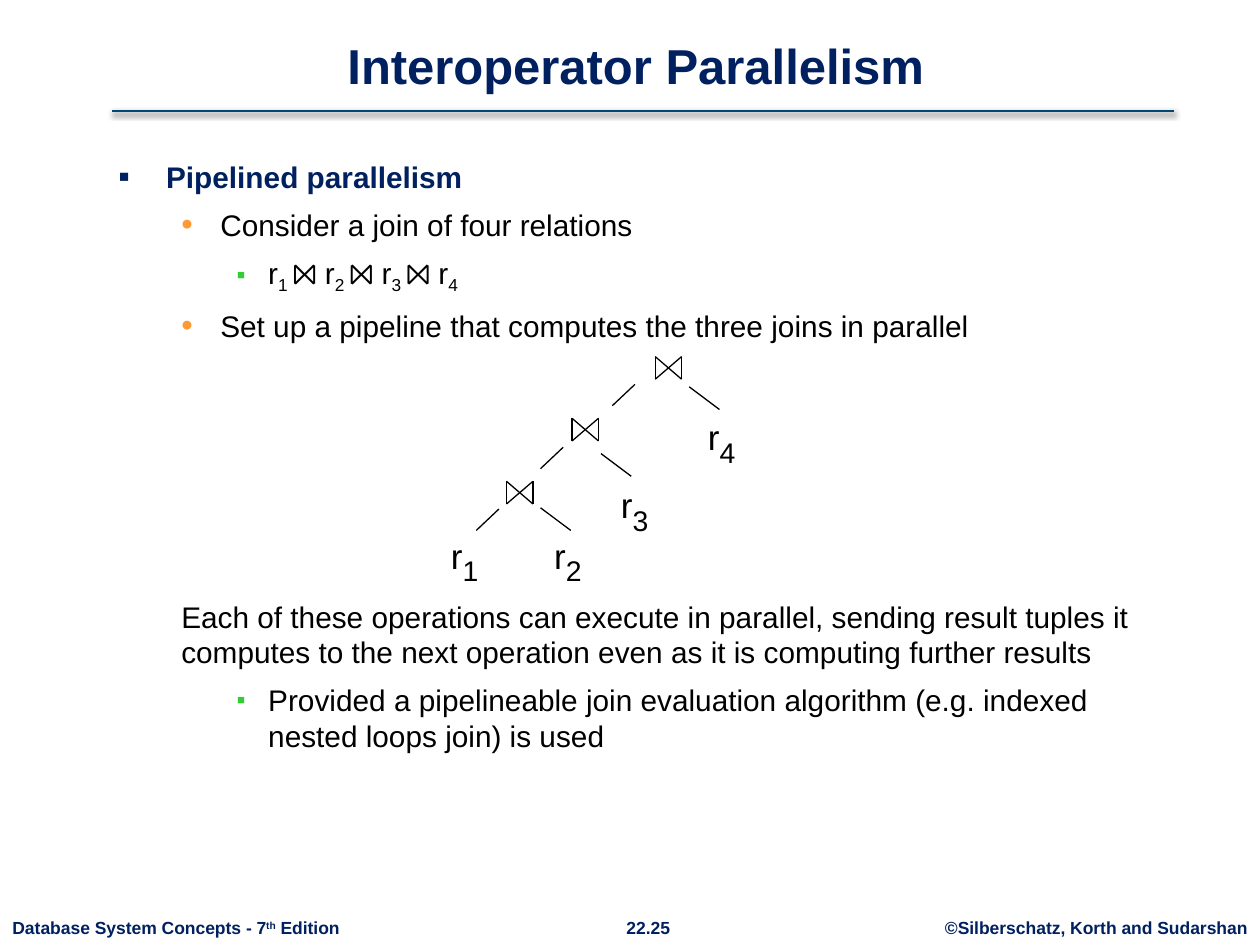
from lxml import etree
from pptx import Presentation
from pptx import util as u
from pptx.dml.color import RGBColor
from pptx.enum import shapes, text
from pptx.oxml.ns import qn

COLORS = {"navy": "002060", "rule": "004873", "black": "000000",
          "orange": "FF9933", "green": "33CC33"}
SUB, SUPER = -25, 30

deck = Presentation()
deck.slide_width, deck.slide_height = u.Inches(10), u.Inches(7.5)
page = deck.slides.add_slide(deck.slide_layouts[6])
# Grid of 100 columns by 75 rows
COL, ROW = deck.slide_width / 100, deck.slide_height / 75


def add_text(place, paras, wrap=True, anchor=text.MSO_ANCHOR.TOP):
    """Fill a box; each para is (format, spans) and a span (text, size, colour, bold, baseline)."""
    left, top, width, height = place
    box = page.shapes.add_textbox(int(left * COL), int(top * ROW),
                                  int(width * COL), int(height * ROW))
    frame = box.text_frame
    frame.word_wrap, frame.vertical_anchor = wrap, anchor
    for index, (form, spans) in enumerate(paras):
        para = frame.paragraphs[0] if index == 0 else frame.add_paragraph()
        para.alignment = form.get("align", text.PP_ALIGN.LEFT)
        if index:
            para.space_before = u.Pt(7)
        props = para._p.get_or_add_pPr()
        if "indent" in form:
            margin, hang = form["indent"]
            props.set("marL", str(int(margin * COL)))
            props.set("indent", str(int(hang * COL)))
        if "bullet" in form:
            mark, color, percent = form["bullet"]
            tint = etree.SubElement(props, qn("a:buClr"))
            etree.SubElement(tint, qn("a:srgbClr"), val=COLORS[color])
            etree.SubElement(props, qn("a:buSzPct"), val=str(percent * 1000))
            etree.SubElement(props, qn("a:buFont"), typeface="Arial")
            etree.SubElement(props, qn("a:buChar"), char=mark)
        for words, size, color, bold, baseline in spans:
            span = para.add_run()
            span.text = words
            for name, value in {"name": "Arial", "size": u.Pt(size), "bold": bold}.items():
                setattr(span.font, name, value)
            span.font.color.rgb = RGBColor.from_string(COLORS[color])
            if baseline:
                span.font._element.set("baseline", str(baseline * 1000))


def add_line(x1, y1, x2, y2, color="black", width=0.75):
    line = page.shapes.add_connector(shapes.MSO_CONNECTOR.STRAIGHT, int(x1 * COL),
                                     int(y1 * ROW), int(x2 * COL), int(y2 * ROW))
    line.line.color.rgb = RGBColor.from_string(COLORS[color])
    line.line.width = u.Pt(width)
    return etree.SubElement(line._element.spPr, qn("a:effectLst"))


# Footer
center = {"align": text.PP_ALIGN.CENTER}
for left, width, form, parts in [
    (74, 26, center, [("©Silberschatz, Korth and Sudarshan", 0)]),
    (48.6, 5.7, center, [("22.25", 0)]),
    (0, 28.1, {}, [("Database System Concepts - 7", 0), ("th", SUPER), (" Edition", 0)]),
]:
    spans = [(words, 10, "navy", True, baseline) for words, baseline in parts]
    add_text((left, 72.3, width, 2.7), [(form, spans)], wrap=False)

# Title and its shadowed rule
add_text((8.4, 1.3, 84.1, 6.7),
         [(center, [("Interoperator Parallelism", 28, "navy", True, 0)])],
         anchor=text.MSO_ANCHOR.BOTTOM)
effects = add_line(8.9, 8.8, 93.2, 8.8, "rule", 1.5)
shadow = etree.SubElement(effects, qn("a:outerShdw"), blurRad=str(u.Pt(3.1)),
                          dist=str(u.Pt(1.6)), dir="5400000", rotWithShape="0")
shade = etree.SubElement(shadow, qn("a:srgbClr"), val=COLORS["black"])
etree.SubElement(shade, qn("a:alpha"), val="38000")

# Body text above and below the join tree
topic = {"indent": (3.8, -3.8), "bullet": ("▪", "navy", 110)}
point = {"indent": (8.1, -3.1), "bullet": ("•", "orange", 110)}
detail = {"indent": (11.9, -2.5), "bullet": ("▪", "green", 85)}
plain = {"indent": (5, 0)}
join_spans = []
for words, number in [("r", "1 "), ("⨝ r", "2 "), ("⨝ r", "3 "), ("⨝ r", "4")]:
    join_spans += [(words, 17, "black", False, 0), (number, 17, "black", False, SUB)]

add_text((8.4, 12.1, 84.1, 16), [
    (topic, [("Pipelined parallelism", 17, "navy", True, 0)]),
    (point, [("Consider a join of four relations", 17, "black", False, 0)]),
    (detail, join_spans),
    (point, [("Set up a pipeline that computes the three joins in parallel",
              17, "black", False, 0)]),
])
add_text((8.4, 47, 84.1, 23.8), [
    (plain, [("Each of these operations can execute in parallel, sending result tuples it "
              "computes to the next operation even as it is computing further results",
              17, "black", False, 0)]),
    (detail, [("Provided a pipelineable join evaluation algorithm (e.g. indexed "
               "nested loops join) is used", 17, "black", False, 0)]),
])

# Join tree: bowtie nodes, relations, branches
BOW_WIDTH, BOW_HEIGHT = 2.1, 1.8
for left, top in [(40.2, 38.2), (45.4, 33.2), (52, 28.3)]:
    right, bottom = left + BOW_WIDTH, top + BOW_HEIGHT
    add_line(left, top, right, bottom)
    add_line(left, bottom, right, top)
    add_line(left, top, left, bottom)
    add_line(right, top, right, bottom)

for number, (left, top) in enumerate([(34.8, 40.8), (43, 40.8), (48.3, 36.8), (55.2, 31.4)], 1):
    add_text((left, top, 5.8, 4.4),
             [({}, [("r", 20, "black", False, 0), (str(number), 28, "black", False, SUB)])])

RISE = 1.7
for left, bottom in [(37.8, 42.1), (42.9, 37.2), (48.6, 32.2)]:
    add_line(left, bottom, left + 1.8, bottom - RISE)
for left, top in [(42.9, 40.3), (47.7, 36), (54.7, 30.7)]:
    add_line(left, top, left + 2.4, top + 1.8)

deck.save("out.pptx")
